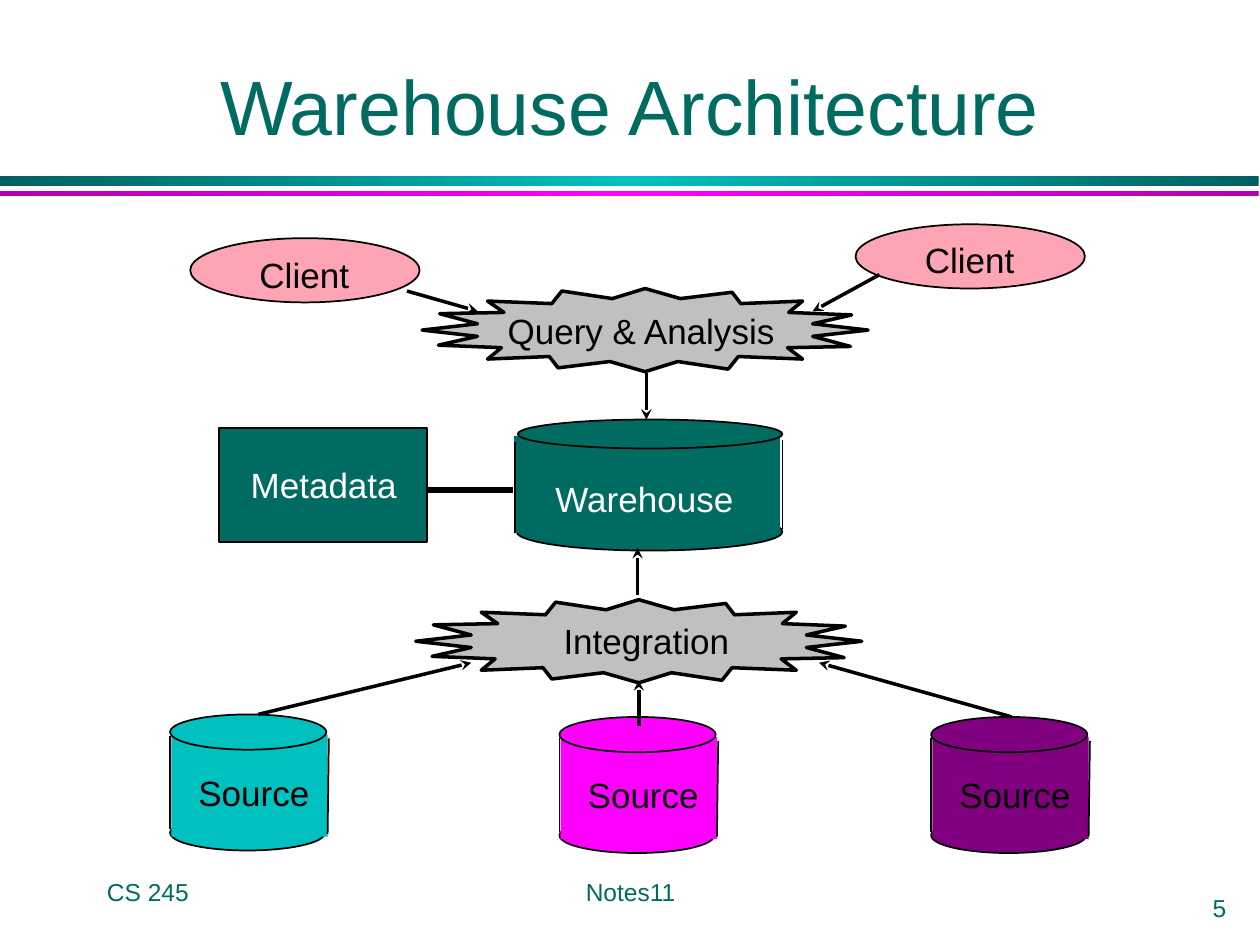
from copy import deepcopy

from lxml import etree
from pptx import Presentation
from pptx.dml.color import RGBColor
from pptx.enum.shapes import MSO_CONNECTOR, MSO_SHAPE
from pptx.enum.text import MSO_ANCHOR, PP_ALIGN
from pptx.oxml.ns import qn
from pptx.util import Inches, Pt

RECT, OVAL = MSO_SHAPE.RECTANGLE, MSO_SHAPE.OVAL
STRAIGHT = MSO_CONNECTOR.STRAIGHT
TOP, MIDDLE, BOTTOM = MSO_ANCHOR.TOP, MSO_ANCHOR.MIDDLE, MSO_ANCHOR.BOTTOM
LEFT, CENTER, RIGHT = PP_ALIGN.LEFT, PP_ALIGN.CENTER, PP_ALIGN.RIGHT

GREEN = RGBColor(0x00, 0x6B, 0x61)
TEAL = RGBColor(0x00, 0xC0, 0xC0)
DARK_TEAL = RGBColor(0x00, 0x60, 0x60)
MAGENTA = RGBColor(0xFF, 0x00, 0xFF)
DARK_MAGENTA = RGBColor(0xB2, 0x00, 0xB2)
PURPLE = RGBColor(0x80, 0x00, 0x80)
PINK = RGBColor(0xFD, 0xA4, 0xB5)
GRAY = RGBColor(0xC0, 0xC0, 0xC0)
BLACK = RGBColor(0x00, 0x00, 0x00)
WHITE = RGBColor(0xFF, 0xFF, 0xFF)

deck = Presentation()
deck.slide_width, deck.slide_height = Inches(10), Inches(7.5)
page = deck.slides.add_slide(deck.slide_layouts[6])


def add_text(at, text, color=BLACK, size=20, align=CENTER, anchor=TOP, wrap=False):
    box = page.shapes.add_textbox(*map(Inches, at))
    frame = box.text_frame
    frame.word_wrap = wrap
    frame.vertical_anchor = anchor
    para = frame.paragraphs[0]
    para.alignment = align
    span = para.add_run()
    span.text = text
    span.font.name = "Arial"
    span.font.size = Pt(size)
    span.font.color.rgb = color


def add_line(x1, y1, x2, y2, width=2, arrow=True):
    line = page.shapes.add_connector(STRAIGHT, *map(Inches, (x1, y1, x2, y2)))
    line.line.color.rgb = BLACK
    line.line.width = Pt(width)
    if arrow:
        etree.SubElement(line.line._get_or_add_ln(), qn("a:tailEnd"), type="stealth")
    etree.SubElement(line._element.spPr, qn("a:effectLst"))


# Title and the two bands under it
for top, height, edge, middle in [
    (1.4, 0.08, DARK_TEAL, TEAL),
    (1.52, 0.04, DARK_MAGENTA, MAGENTA),
]:
    band = page.shapes.add_shape(RECT, 0, Inches(top), Inches(9.99), Inches(height))
    band.shadow.inherit = False
    band.line.fill.background()
    band.fill.gradient()
    band.fill.gradient_angle = 0
    stop_list = band._element.spPr.find(qn("a:gradFill")).find(qn("a:gsLst"))
    stop_list.append(deepcopy(stop_list[0]))
    for stop, position, color in zip(
        band.fill.gradient_stops, (0, 0.5, 1), (edge, middle, edge)
    ):
        stop.position = position
        stop.color.rgb = color

add_text((0.75, 0.25, 8.5, 1), "Warehouse Architecture", GREEN, 44,
         anchor=BOTTOM, wrap=True)
for at, text, align in [
    ((0.75, 6.83, 2.08, 0.5), "CS 245", LEFT),
    ((3.42, 6.83, 3.17, 0.5), "Notes11", CENTER),
    ((9, 7.08, 0.83, 0.25), "5", RIGHT),
]:
    add_text(at, text, GREEN, 14, align, MIDDLE, True)

# Clients, metadata and drums; each drum is a base, a body and a lid
sources = [(1.35, 5.67, TEAL), (4.44, 5.69, MAGENTA), (7.39, 5.69, PURPLE)]
blocks = [
    (OVAL, (1.51, 1.89, 1.82, 0.51), PINK, True),
    (OVAL, (6.79, 1.78, 1.82, 0.51), PINK, True),
    (RECT, (1.74, 3.4, 1.65, 0.9), GREEN, True),
    (OVAL, (4.1, 4.07, 2.11, 0.3), GREEN, True),
    (RECT, (4.08, 3.46, 2.11, 0.77), GREEN, False),
    (OVAL, (4.11, 3.33, 2.1, 0.23), GREEN, True),
]
for left, top, color in sources:
    blocks += [
        (OVAL, (left, top + 0.8, 1.23, 0.28), color, True),
        (RECT, (left + 0.01, top + 0.16, 1.24, 0.81), color, False),
        (OVAL, (left, top, 1.24, 0.28), color, True),
    ]
for kind, at, color, outlined in blocks:
    block = page.shapes.add_shape(kind, *map(Inches, at))
    block.shadow.inherit = False
    block.fill.solid()
    block.fill.fore_color.rgb = color
    if outlined:
        block.line.color.rgb = BLACK
        block.line.width = Pt(1)
    else:
        block.line.fill.background()

# Drum sides and source labels
add_line(6.21, 3.49, 6.21, 4.2, 1, False)
add_line(4.09, 3.51, 4.09, 4.23, 1, False)
for left, top, color in sources:
    add_line(left + 1.26, top + 0.19, left + 1.25, top + 0.95, 1, False)
    add_line(left, top + 0.17, left, top + 0.91, 1, False)
    add_text((left + 0.12, top + 0.4, 1.09, 0.43), "Source")

for ends in [
    (3.23, 2.31, 3.79, 2.47),
    (6.98, 2.18, 6.45, 2.47),
    (2.05, 5.67, 3.74, 5.26),
    (8.03, 5.69, 6.5, 5.26),
    (5.06, 4.72, 5.06, 4.35),
]:
    add_line(*ends)

# Starbursts, as offsets from the left tip
BURST = [
    (0, 0), (0.44, 0.05), (0.13, 0.12), (0.63, 0.14), (0.52, 0.23), (1.01, 0.21),
    (1.08, 0.3), (1.49, 0.25), (1.77, 0.33), (2.03, 0.25), (2.43, 0.31),
    (2.51, 0.21), (3.02, 0.23), (2.9, 0.14), (3.4, 0.13), (3.1, 0.05),
    (3.54, 0), (3.1, -0.05), (3.41, -0.12), (2.91, -0.14), (3.02, -0.23),
    (2.53, -0.21), (2.46, -0.3), (2.05, -0.25), (1.77, -0.33), (1.51, -0.25),
    (1.11, -0.31), (1.03, -0.21), (0.52, -0.23), (0.65, -0.14), (0.14, -0.13),
    (0.44, -0.05),
]
for left, middle in [(3.35, 2.62), (3.3, 5.09)]:
    points = [(Inches(left + x), Inches(middle + y)) for x, y in BURST]
    outline = page.shapes.build_freeform(*points[0])
    outline.add_line_segments(points[1:], close=True)
    burst = outline.convert_to_shape()
    burst.shadow.inherit = False
    burst.fill.solid()
    burst.fill.fore_color.rgb = GRAY
    burst.line.color.rgb = BLACK
    burst.line.width = Pt(2)

add_text((1.96, 1.96, 0.91, 0.43), "Client")
add_text((7.24, 1.84, 0.91, 0.43), "Client")
add_text((3.93, 2.41, 2.38, 0.43), "Query & Analysis", align=LEFT, wrap=True)
add_text((4.31, 3.74, 1.66, 0.43), "Warehouse", WHITE, align=LEFT, wrap=True)
add_text((1.89, 3.63, 1.36, 0.43), "Metadata", WHITE)
add_text((4.37, 4.87, 1.52, 0.43), "Integration")

add_line(5.13, 2.96, 5.13, 3.33)
add_line(5.07, 5.76, 5.07, 5.4)
add_line(3.4, 3.89, 4.07, 3.89, 3, False)

deck.save("out.pptx")
